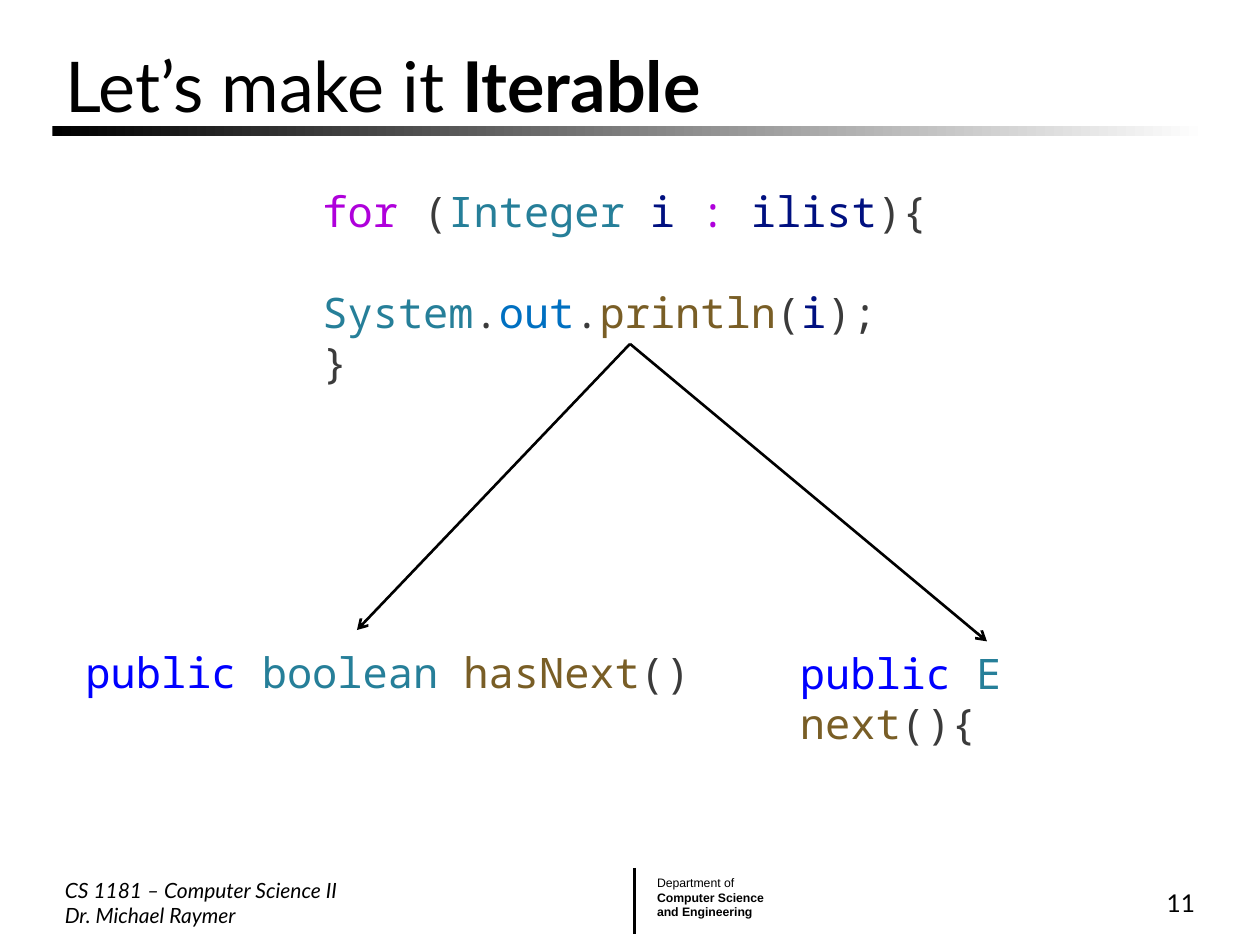
from lxml import etree
from pptx import Presentation
from pptx.dml.color import RGBColor
from pptx.enum import shapes, text
from pptx.oxml import ns
from pptx.util import Pt

BLACK = RGBColor(0x00, 0x00, 0x00)
WHITE = RGBColor(0xFF, 0xFF, 0xFF)
CONTROL = RGBColor(0xAF, 0x00, 0xDB)
PLAIN = RGBColor(0x3B, 0x3B, 0x3B)
TYPE = RGBColor(0x26, 0x7F, 0x99)
VARIABLE = RGBColor(0x00, 0x10, 0x80)
CONSTANT = RGBColor(0x00, 0x70, 0xC1)
METHOD = RGBColor(0x79, 0x5E, 0x26)
KEYWORD = RGBColor(0x00, 0x00, 0xFF)

LOOP = [
    [("for", CONTROL), (" (", PLAIN), ("Integer", TYPE), (" ", PLAIN), ("i", VARIABLE),
     (" ", PLAIN), (":", CONTROL), (" ", PLAIN), ("ilist", VARIABLE), ("){", PLAIN)],
    [("System", TYPE), (".", PLAIN), ("out", CONSTANT), (".", PLAIN), ("println", METHOD),
     ("(", PLAIN), ("i", VARIABLE), (");", PLAIN)],
    [("}", PLAIN)],
]
HAS_NEXT = [[("public", KEYWORD), (" ", PLAIN), ("boolean", TYPE), (" ", PLAIN),
             ("hasNext", METHOD), ("()", PLAIN)]]
NEXT = [[("public", KEYWORD), (" ", PLAIN), ("E", TYPE), (" ", PLAIN),
         ("next", METHOD), ("(){", PLAIN)]]


def add_run(p, words, font, size, color=BLACK, bold=False, italic=False):
    """Append one formatted run to a paragraph."""
    r = p.add_run()
    r.text = words
    r.font.name, r.font.size = font, Pt(size)
    r.font.bold, r.font.italic = bold, italic
    r.font.color.rgb = color


def add_box(s, x, y, w, h, anchor=text.MSO_ANCHOR.TOP, wrap=True):
    """Add an empty text box and return it."""
    sp = s.shapes.add_textbox(Pt(x), Pt(y), Pt(w), Pt(h))
    tf = sp.text_frame
    tf.word_wrap, tf.vertical_anchor = wrap, anchor
    tf.auto_size = text.MSO_AUTO_SIZE.NONE
    return sp


def add_line(s, x1, y1, x2, y2, arrow=False):
    """Add a black straight line, with an arrowhead at its end if asked."""
    cx = s.shapes.add_connector(shapes.MSO_CONNECTOR.STRAIGHT, Pt(x1), Pt(y1), Pt(x2), Pt(y2))
    cx.line.color.rgb, cx.line.width = BLACK, Pt(1.5)
    if arrow:
        etree.SubElement(cx.line._get_or_add_ln(), ns.qn("a:tailEnd"), type="arrow")
    etree.SubElement(cx._element.spPr, ns.qn("a:effectLst"))
    return cx


def add_header(s, x, y, w, h):
    """Place the title with the fading bar under it."""
    bar = s.shapes.add_shape(shapes.MSO_SHAPE.RECTANGLE, Pt(x), Pt(y + h), Pt(w), Pt(6))
    bar.shadow.inherit = False
    bar.line.fill.background()
    bar.fill.gradient()
    bar.fill.gradient_angle = 0
    for stop, color in zip(bar.fill.gradient_stops, (BLACK, WHITE)):
        stop.color.rgb = color

    title = s.shapes.title
    title.left, title.top, title.width, title.height = Pt(x), Pt(y), Pt(w), Pt(h)
    tf = title.text_frame
    tf.auto_size = text.MSO_AUTO_SIZE.NONE
    tf.vertical_anchor = text.MSO_ANCHOR.MIDDLE
    p = tf.paragraphs[0]
    p.alignment = text.PP_ALIGN.LEFT
    add_run(p, "Let’s make it ", "Lato", 40)
    add_run(p, "Iterable", "Lato", 40, bold=True)


def add_code(s, x, y, w, h, lines, gap_line=None):
    """Place coloured code, with one empty line's space before gap_line."""
    sp = add_box(s, x, y, w, h)
    tf = sp.text_frame
    for i, line in enumerate(lines):
        p = tf.paragraphs[0] if i == 0 else tf.add_paragraph()
        if i == gap_line:
            p.space_before = Pt(29)
        for words, color in line:
            add_run(p, words, "Noto Sans Mono", 24, color)
    return sp


def add_diagram(s, x, y):
    """Place the loop and the two methods that it calls."""
    loop = add_code(s, x + 135.4, y, 365.75, 94.3, LOOP, gap_line=1)
    add_code(s, x, y + 263.7, 360, 36, HAS_NEXT)
    following = add_code(s, x + 408.25, y + 264.3, 228, 36, NEXT)
    start = (x + 318.25, y + 94.3)
    to_has_next = add_line(s, *start, x + 162.25, y + 257.8, arrow=True)
    to_next = add_line(s, *start, x + 522.25, y + 264.3, arrow=True)
    for cx in (to_has_next, to_next):
        cx.begin_connect(loop, 2)
    to_next.end_connect(following, 0)


def add_footer(s, x, y, w, h):
    """Place the course, the department and the slide number."""
    middle = text.MSO_ANCHOR.MIDDLE
    p = add_box(s, x, y, 180, h, middle).text_frame.paragraphs[0]
    add_run(p, "CS 1181 – Computer Science II", "Lato", 12, italic=True)
    p.add_line_break()
    add_run(p, "Dr. Michael Raymer", "Lato", 12, italic=True)

    add_line(s, x + 332.6, y - 2, x + 332.6, y + h)
    tf = add_box(s, x + 338.4, y - 1.4, 76.3, 32.4, wrap=False).text_frame
    for i, words in enumerate(("Department of", "Computer Science", "and Engineering")):
        p = tf.paragraphs[0] if i == 0 else tf.add_paragraph()
        add_run(p, words, "Arial", 7, bold=i > 0)

    p = add_box(s, x + w - 150, y, 150, h, middle).text_frame.paragraphs[0]
    p.alignment = text.PP_ALIGN.RIGHT
    add_run(p, "11", "Lato", 14)


def main():
    """Build the slide and save it."""
    prs = Presentation()
    prs.slide_width, prs.slide_height = Pt(720), Pt(540)
    s = prs.slides.add_slide(prs.slide_layouts[5])
    add_header(s, 30, 24, 660, 48)
    add_diagram(s, 41.75, 102.2)
    add_footer(s, 30, 498, 660, 36)
    prs.save("out.pptx")


if __name__ == "__main__":
    main()
